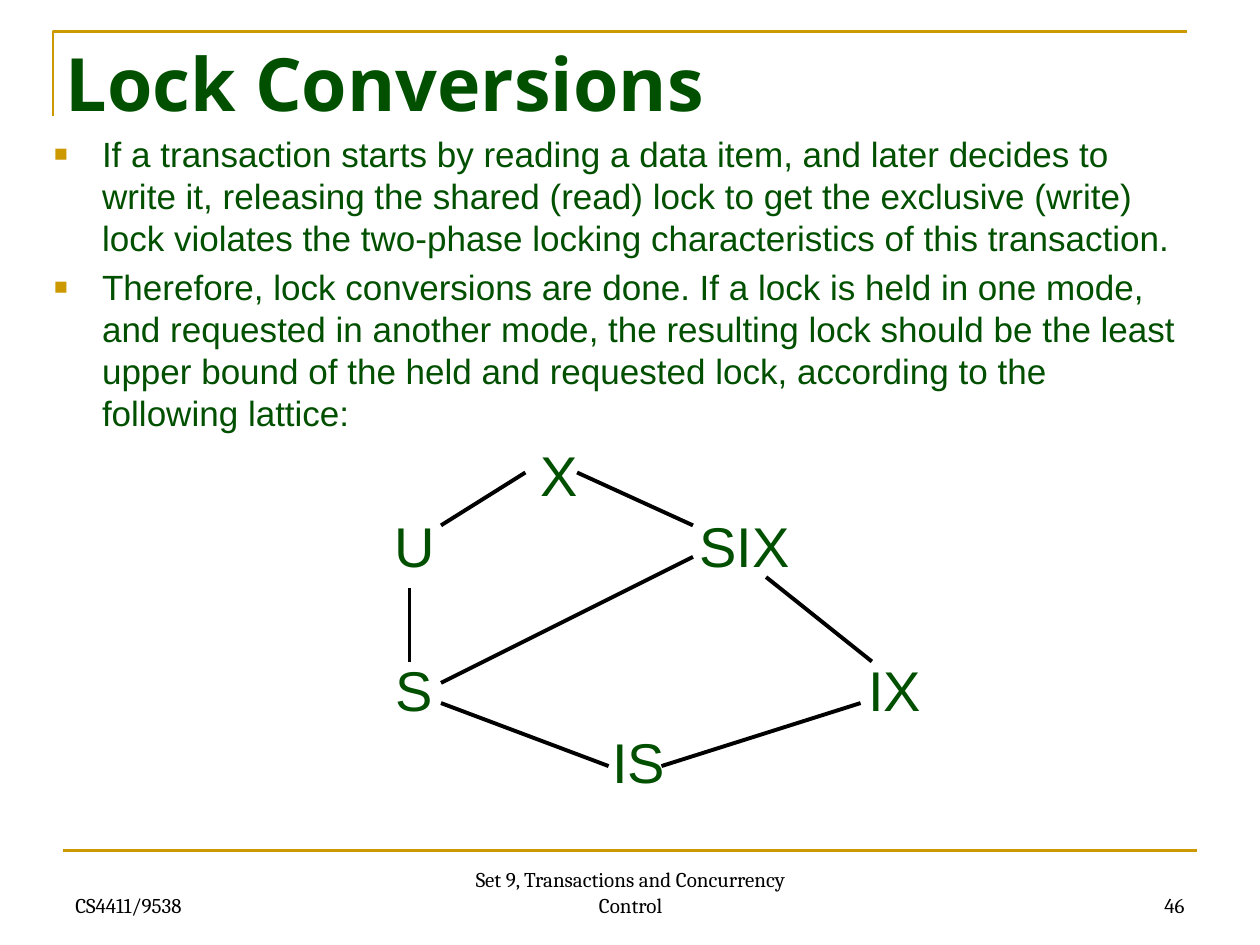
from dataclasses import dataclass
from lxml.etree import SubElement
from pptx import Presentation
from pptx.dml.color import RGBColor
from pptx.enum.shapes import MSO_CONNECTOR as Link
from pptx.enum.text import MSO_ANCHOR as Anchor, MSO_AUTO_SIZE as Fit, PP_ALIGN as Align
from pptx.oxml.ns import qn
from pptx.util import Inches, Pt


@dataclass(frozen=True)
class Theme:
    ink: str = "005000"
    accent: str = "CC9900"
    black: str = "000000"
    heading_font: str = "Noto Sans"
    body_font: str = "Arial"
    footer_font: str = "Cambria"
    heading_size: int = 42
    body_size: int = 20
    node_size: int = 32
    footer_size: int = 12
    rule_width: float = 1.5
    edge_width: float = 2.25


class LectureSlide:
    def __init__(self, deck, theme):
        self.theme = theme
        self.slide = deck.slides.add_slide(deck.slide_layouts[1])

    def place(self, shape, box):
        shape.left, shape.top, shape.width, shape.height = map(Inches, box)

    def frame(self, shape, anchor):
        frame = shape.text_frame
        frame.word_wrap = True
        frame.auto_size = Fit.NONE
        frame.vertical_anchor = anchor
        return frame

    def run(self, paragraph, text, font, size, color, bold=False):
        run = paragraph.add_run()
        run.text = text
        run.font.name = font
        run.font.size = Pt(size)
        run.font.bold = bold
        run.font.color.rgb = RGBColor.from_string(color)

    def title(self, text, box):
        heading = self.slide.shapes.title
        self.place(heading, box)
        paragraph = self.frame(heading, Anchor.TOP).paragraphs[0]
        paragraph.alignment = Align.LEFT
        self.run(paragraph, text, self.theme.heading_font, self.theme.heading_size,
                 self.theme.ink, True)

    def bullets(self, points, box):
        body = self.slide.placeholders[1]
        self.place(body, box)
        frame = self.frame(body, Anchor.TOP)
        for index, point in enumerate(points):
            paragraph = frame.add_paragraph() if index else frame.paragraphs[0]
            paragraph.space_before = Pt(4)
            self.bullet_mark(paragraph)
            self.run(paragraph, point, self.theme.body_font, self.theme.body_size, self.theme.ink)

    def bullet_mark(self, paragraph):
        props = paragraph._p.get_or_add_pPr()
        props.set("marL", str(Inches(0.38)))
        props.set("indent", str(-Inches(0.38)))
        color = SubElement(props, qn("a:buClr"))
        SubElement(color, qn("a:srgbClr")).set("val", self.theme.accent)
        SubElement(props, qn("a:buSzPct")).set("val", "65000")
        SubElement(props, qn("a:buFont")).set("typeface", self.theme.body_font)
        SubElement(props, qn("a:buChar")).set("char", "■")

    def label(self, text, box, font, size, color, align, anchor):
        area = self.slide.shapes.add_textbox(*map(Inches, box))
        paragraph = self.frame(area, anchor).paragraphs[0]
        paragraph.alignment = align
        self.run(paragraph, text, font, size, color)

    def node(self, text, x, y, width=1.0, height=0.6):
        self.label(text, (x - width / 2, y - height / 2, width, height), self.theme.body_font,
                   self.theme.node_size, self.theme.ink, Align.CENTER, Anchor.MIDDLE)

    def footer(self, text, left, width, align):
        self.label(text, (left, 6.83, width, 0.5), self.theme.footer_font,
                   self.theme.footer_size, self.theme.black, align, Anchor.BOTTOM)

    def line(self, start, end, color, width):
        link = self.slide.shapes.add_connector(Link.STRAIGHT, *map(Inches, start + end))
        link.line.color.rgb = RGBColor.from_string(color)
        link.line.width = Pt(width)
        SubElement(link._element.spPr, qn("a:effectLst"))

    def corner(self, points):
        start, *rest = [tuple(map(Inches, point)) for point in points]
        builder = self.slide.shapes.build_freeform(*start)
        builder.add_line_segments(rest, close=False)
        bracket = builder.convert_to_shape()
        bracket.shadow.inherit = False
        bracket.fill.background()
        bracket.line.color.rgb = RGBColor.from_string(self.theme.accent)
        bracket.line.width = Pt(self.theme.rule_width)


theme = Theme()
deck = Presentation()
deck.slide_width, deck.slide_height = Inches(10), Inches(7.5)
page = LectureSlide(deck, theme)

page.corner([(0.42, 0.92), (0.42, 0.25), (9.42, 0.25)])
page.line((0.5, 6.75), (9.5, 6.75), theme.accent, theme.rule_width)
page.title("Lock Conversions", (0.42, 0.25, 9, 0.91))
page.bullets([
    "If a transaction starts by reading a data item, and later decides to write it, "
    "releasing the shared (read) lock to get the exclusive (write) lock violates the "
    "two-phase locking characteristics of this transaction.",
    "Therefore, lock conversions are done. If a lock is held in one mode, and requested "
    "in another mode, the resulting lock should be the least upper bound of the held and "
    "requested lock, according to the following lattice:",
], (0.33, 1, 9.17, 5.42))

lattice_top, row_pitch = 3.76, 0.57
lattice = [("X", 4.44, 0), ("U", 3.29, 1), ("SIX", 5.91, 1),
           ("S", 3.29, 3), ("IX", 7.1, 3), ("IS", 5.07, 4)]
for mode, center, row in lattice:
    page.node(mode, center, lattice_top + row * row_pitch)

conversions = [
    ((3.5, 4.17), (4.17, 3.75)),
    ((4.58, 3.75), (5.5, 4.17)),
    ((3.25, 5.25), (3.25, 4.67)),
    ((3.5, 5.42), (5.5, 4.42)),
    ((3.5, 5.58), (4.83, 6.08)),
    ((6.92, 5.25), (6.08, 4.58)),
    ((5.25, 6.08), (6.83, 5.58)),
]
for weaker, stronger in conversions:
    page.line(weaker, stronger, theme.black, theme.edge_width)

page.footer("CS4411/9538", 0.5, 2.33, Align.LEFT)
page.footer("Set 9, Transactions and Concurrency Control", 3.42, 3.17, Align.CENTER)
page.footer("46", 7.17, 2.33, Align.RIGHT)

deck.save("out.pptx")
